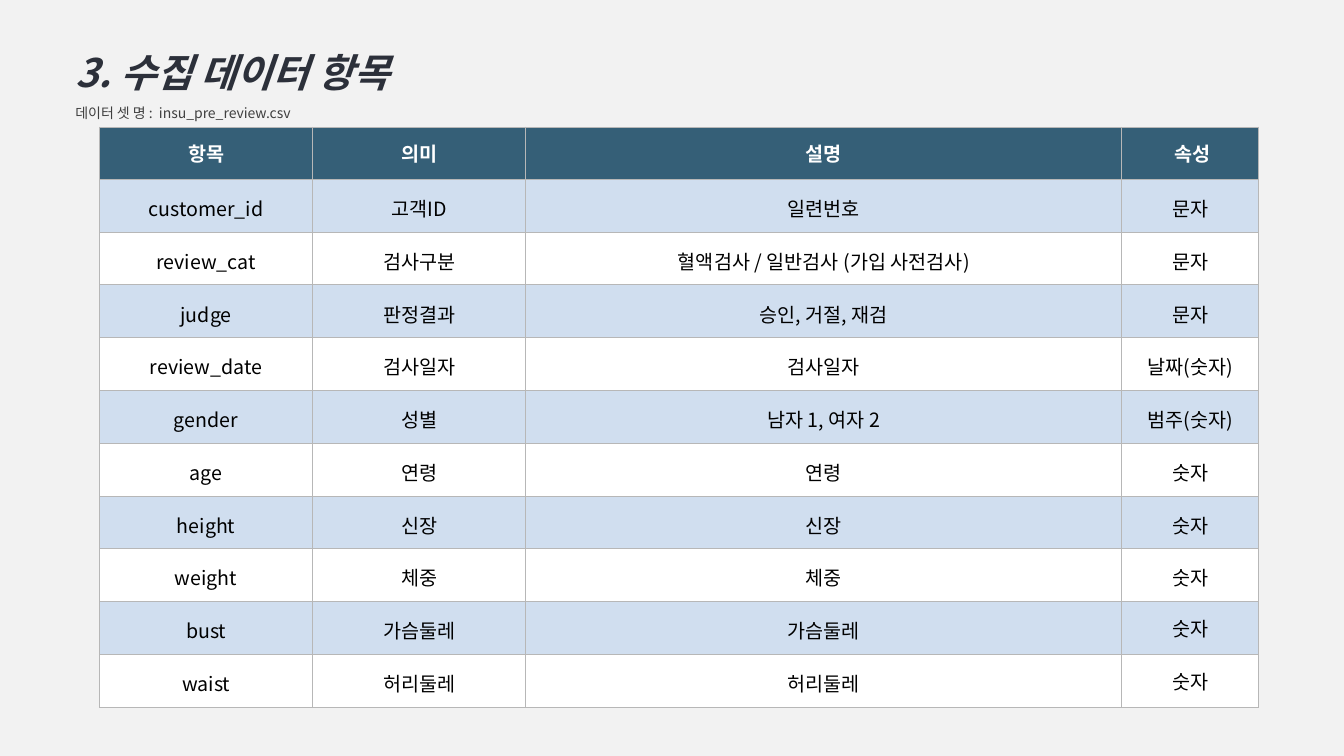
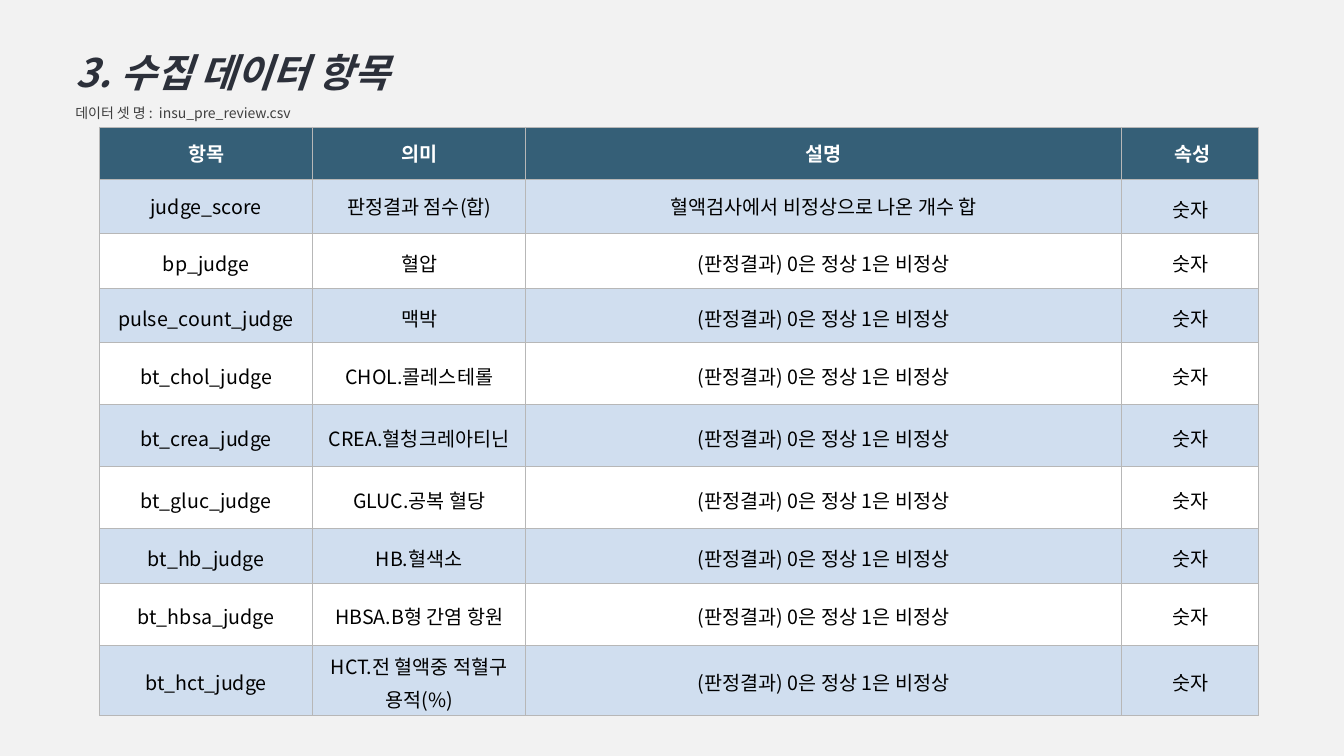
import pptx
import pptx.dml.color
import pptx.enum.text
import pptx.oxml
import pptx.oxml.ns
import pptx.util

Cm = pptx.util.Cm
Pt = pptx.util.Pt
NS = pptx.oxml.ns.nsdecls("a")


def hue(code):
    return pptx.dml.color.RGBColor.from_string(code)


class Deck:
    FONT = "Noto Sans CJK KR"
    BACK = "F2F2F2"
    TITLE = "2C303A"
    NOTE = "3F3F3F"
    HEAD = "355F77"
    BANDS = ("FFFFFF", "D0DEEF")
    EDGE = "B7B7B7"
    COLS = (5.37, 5.37, 15.02, 3.45)
    LABELS = ("항목", "의미", "설명", " 속성")

    def __init__(self):
        self.prs = pptx.Presentation()
        self.prs.slide_width = Cm(33.87)
        self.prs.slide_height = Cm(19.05)
        fill = self.prs.slide_master.background.fill
        fill.solid()
        fill.fore_color.rgb = hue(self.BACK)
        self.slide = None

    def page(self):
        self.slide = self.prs.slides.add_slide(self.prs.slide_layouts[6])

    def style(self, para, size, color, bold=False, slant=False, face=FONT):
        font = para.font
        font.size = Pt(size)
        font.bold = bold
        font.italic = slant
        font.color.rgb = hue(color)
        font.name = face
        props = para._p.get_or_add_pPr().find(pptx.oxml.ns.qn("a:defRPr"))
        props.append(pptx.oxml.parse_xml(f'<a:ea {NS} typeface="{self.FONT}"/>'))

    def title(self, text, note):
        box = self.slide.shapes.add_textbox(Cm(1.65), Cm(0.51), Cm(16.94), Cm(2.69))
        frame = box.text_frame
        frame.word_wrap = True
        head, sub = frame.paragraphs[0], frame.add_paragraph()
        head.text, sub.text = text, note
        head.line_spacing = sub.line_spacing = 1.5
        self.style(head, 28, self.TITLE, bold=True, slant=True)
        self.style(sub, 10, self.NOTE)

    def edge(self, cell):
        props = cell._tc.get_or_add_tcPr()
        for side in "LRTB":
            props.append(pptx.oxml.parse_xml(
                f'<a:ln{side} {NS} w="{Pt(0.75)}"><a:solidFill>'
                f'<a:srgbClr val="{self.EDGE}"/></a:solidFill></a:ln{side}>'))

    def cell(self, cell, text, fill, color, bold=False, face=FONT, loose=True):
        self.edge(cell)
        cell.fill.solid()
        cell.fill.fore_color.rgb = hue(fill)
        cell.vertical_anchor = pptx.enum.text.MSO_ANCHOR.MIDDLE
        cell.margin_left = cell.margin_right = Cm(0.08)
        cell.margin_top = cell.margin_bottom = Cm(0.05)
        para = cell.text_frame.paragraphs[0]
        para.text = text
        para.alignment = pptx.enum.text.PP_ALIGN.CENTER
        if loose:
            para.line_spacing = 1.15
        self.style(para, 14, color, bold=bold, face=face)

    def table(self, rows, highs, tight, last=FONT):
        highs = [1.32] + highs
        grid = self.slide.shapes.add_table(
            len(highs), len(self.COLS), Cm(2.51), Cm(3.2),
            Cm(sum(self.COLS)), Cm(sum(highs))).table
        grid.first_row = grid.horz_banding = False
        for col, wide in zip(grid.columns, self.COLS):
            col.width = Cm(wide)
        for row, high in zip(grid.rows, highs):
            row.height = Cm(high)
        for c, text in enumerate(self.LABELS):
            face = last if c == len(self.LABELS) - 1 else self.FONT
            self.cell(grid.cell(0, c), text, self.HEAD, "FFFFFF",
                      bold=True, face=face, loose=False)
        for r, row in enumerate(rows, 1):
            for c, text in enumerate(row):
                self.cell(grid.cell(r, c), text, self.BANDS[r % 2], "000000",
                          loose=(r, c) not in tight)


BASE = [
    ("customer_id", "고객ID", "일련번호", "문자"),
    ("review_cat", "검사구분", "혈액검사 / 일반검사 (가입 사전검사)", "문자"),
    ("judge", "판정결과", "승인, 거절, 재검", "문자"),
    ("review_date", "검사일자", "검사일자", "날짜(숫자)"),
    ("gender", "성별", "남자 1, 여자 2", "범주(숫자)"),
] + [(name, mean, mean, "숫자") for name, mean in (
    ("age", "연령"),
    ("height", "신장"),
    ("weight", "체중"),
    ("bust", "가슴둘레"),
    ("waist", "허리둘레"),
)]

SCORE = [
    ("judge_score", "판정결과 점수(합)", "혈액검사에서 비정상으로 나온 개수 합", "숫자"),
] + [(name + "_judge", mean, "(판정결과) 0은 정상 1은 비정상", "숫자") for name, mean in (
    ("bp", "혈압"),
    ("pulse_count", "맥박"),
    ("bt_chol", "CHOL.콜레스테롤"),
    ("bt_crea", "CREA.혈청크레아티닌"),
    ("bt_gluc", "GLUC.공복 혈당"),
    ("bt_hb", "HB.혈색소"),
    ("bt_hbsa", "HBSA.B형 간염 항원"),
    ("bt_hct", "HCT.전 혈액중 적혈구 용적(%)"),
)]


def main():
    deck = Deck()
    low, tall = 1.38, 1.56
    tables = (
        (BASE, [1.33] * len(BASE), {(9, 3), (10, 3)}, Deck.FONT),
        (SCORE, [1.36, low, low, tall, tall, tall, low, tall, 1.76],
         {(1, 0), (1, 1), (1, 2)}, "Arial"),
    )
    for rows, highs, tight, last in tables:
        deck.page()
        deck.table(rows, highs, tight, last)
        deck.title("3. 수집 데이터 항목", "데이터 셋 명 :  insu_pre_review.csv")
    deck.prs.save("out.pptx")


if __name__ == "__main__":
    main()
